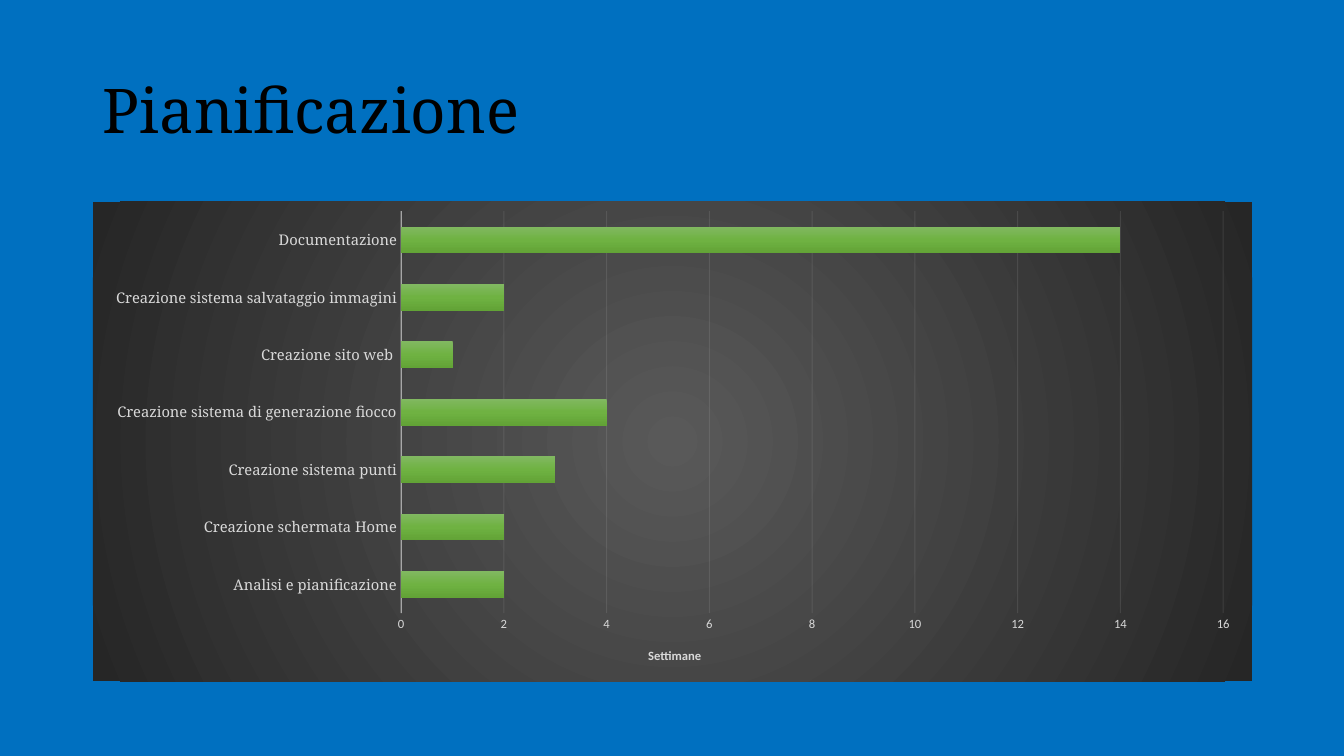
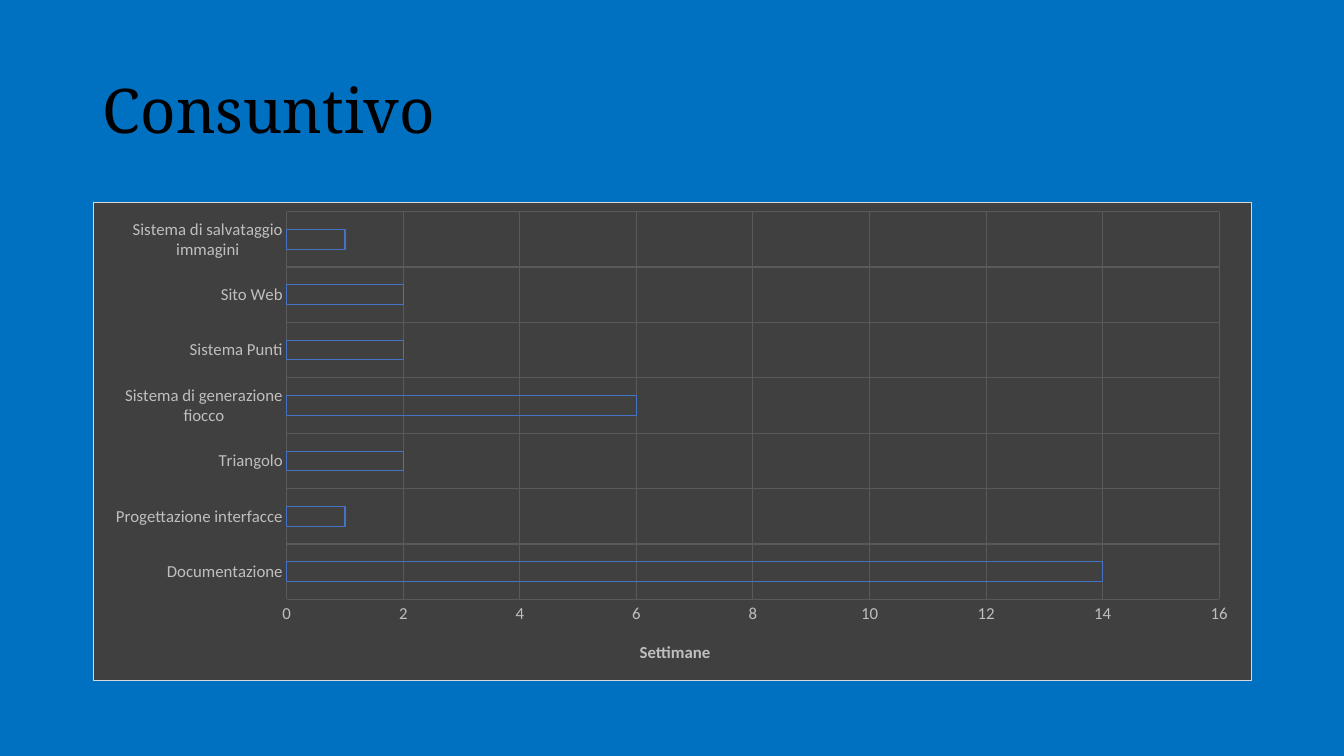
from dataclasses import dataclass
from typing import Optional

from pptx import Presentation
from pptx.chart.data import CategoryChartData
from pptx.dml.color import RGBColor
from pptx.enum.chart import XL_CHART_TYPE, XL_TICK_MARK
from pptx.enum.text import MSO_ANCHOR
from pptx.oxml import parse_xml
from pptx.oxml.ns import nsdecls
from pptx.util import Inches, Pt

BAR = XL_CHART_TYPE.BAR_CLUSTERED
NO_TICK = XL_TICK_MARK.NONE
MIDDLE = MSO_ANCHOR.MIDDLE


class Theme:
    background = "0070C0"
    title_color = "000000"
    title_font = "Noto Serif"
    chart_font = "Calibri"
    title_size = 44
    chart_size = 10
    thin = 0.75
    left, width = Inches(0.92), Inches(11.5)
    title_top, title_height = Inches(0.4), Inches(1.45)
    chart_top, chart_height = Inches(2), Inches(4.76)


@dataclass
class ChartStyle:
    text: str
    category_font: str
    category_size: float
    value_size: float
    gap: int
    overlap: int
    grid: str
    panel_fill: str
    plot_box: tuple
    title_spot: tuple
    grid_alpha: int = 100
    category_grid: bool = False
    category_line: Optional[str] = None
    category_line_alpha: int = 100
    panel_line: Optional[str] = None
    bar_fill: Optional[str] = None
    bar_line: Optional[str] = None


def solid(color):
    return f'<a:solidFill {nsdecls("a")}><a:srgbClr val="{color}"/></a:solidFill>'


def gradient(stops, direction):
    marks = "".join(
        f'<a:gs pos="{pos * 1000}"><a:srgbClr val="{color}"/></a:gs>'
        for pos, color in stops)
    return (f'<a:gradFill {nsdecls("a")} rotWithShape="1"><a:gsLst>{marks}</a:gsLst>'
            f'{direction}</a:gradFill>')


RADIAL = ('<a:path path="circle"><a:fillToRect l="50000" t="50000" '
          'r="50000" b="50000"/></a:path>')
DOWNWARD = '<a:lin ang="5400000" scaled="0"/>'

PLAN = ChartStyle(
    text="D9D9D9", category_font="Noto Serif", category_size=10.5, value_size=9,
    gap=115, overlap=-20, grid="F2F2F2", grid_alpha=10,
    category_line="F2F2F2", category_line_alpha=54,
    panel_fill=gradient([(0, "595959"), (100, "262626")], RADIAL),
    bar_fill=gradient([(0, "81B861"), (50, "6FB242"), (100, "62A336")], DOWNWARD),
    plot_box=(0.266, 0.02, 0.709, 0.838), title_spot=(0.477, 0.925))

ACTUAL = ChartStyle(
    text="BFBFBF", category_font="Calibri", category_size=12, value_size=12,
    gap=182, overlap=-50, grid="595959", category_grid=True,
    panel_fill=solid("404040"), panel_line="D9D9D9", bar_line="4472C4",
    plot_box=(0.167, 0.02, 0.805, 0.81), title_spot=(0.469, 0.91))

SLIDES = [
    ("Pianificazione", PLAN, {
        "Analisi e pianificazione": 2,
        "Creazione schermata Home": 2,
        "Creazione sistema punti": 3,
        "Creazione sistema di generazione fiocco": 4,
        "Creazione sito web ": 1,
        "Creazione sistema salvataggio immagini": 2,
        "Documentazione": 14,
    }),
    ("Consuntivo", ACTUAL, {
        "Documentazione": 14,
        "Progettazione interfacce": 1,
        "Triangolo": 2,
        "Sistema di generazione fiocco": 6,
        "Sistema Punti": 2,
        "Sito Web": 2,
        "Sistema di salvataggio immagini": 1,
    }),
]


def set_font(font, name, size, color, bold=False):
    font.name = name
    font.size = Pt(size)
    font.bold = bold
    font.color.rgb = RGBColor.from_string(color)


def set_line(line, color, width=Theme.thin):
    if color is None:
        line.fill.background()
        return
    line.color.rgb = RGBColor.from_string(color)
    line.width = Pt(width)


def fade(element, query, alpha):
    for color in element.xpath(query):
        color.append(parse_xml(f'<a:alpha {nsdecls("a")} val="{alpha * 1000}"/>'))


def manual_layout(box, inner=False):
    target = '<c:layoutTarget val="inner"/>' if inner else ""
    modes = '<c:xMode val="edge"/><c:yMode val="edge"/>'
    values = "".join(f'<c:{key} val="{value}"/>' for key, value in zip("xywh", box))
    return parse_xml(f'<c:layout {nsdecls("c")}><c:manualLayout>'
                     f'{target}{modes}{values}</c:manualLayout></c:layout>')


def place_parts(chart, style):
    space = chart._chartSpace
    for old in space.xpath("c:chart/c:plotArea/c:layout | .//c:title/c:layout"):
        old.getparent().remove(old)
    space.xpath("c:chart/c:plotArea")[0].insert(
        0, manual_layout(style.plot_box, inner=True))
    space.xpath(".//c:valAx/c:title/c:tx")[0].addnext(manual_layout(style.title_spot))


def style_panel(chart, style):
    border = solid(style.panel_line) if style.panel_line else "<a:noFill/>"
    panel = parse_xml(f'<c:spPr {nsdecls("c", "a")}>{style.panel_fill}'
                      f'<a:ln w="{Pt(Theme.thin)}">{border}</a:ln></c:spPr>')
    chart._chartSpace.xpath("c:chart")[0].addnext(panel)


def style_axis(axis, font, size, style, grid):
    axis.major_tick_mark = axis.minor_tick_mark = NO_TICK
    set_font(axis.tick_labels.font, font, size, style.text)
    axis.has_major_gridlines = grid
    if grid:
        set_line(axis.major_gridlines.format.line, style.grid)
        fade(axis._element, "c:majorGridlines//a:srgbClr", style.grid_alpha)


def style_axes(chart, style):
    category, value = chart.category_axis, chart.value_axis
    style_axis(category, style.category_font, style.category_size, style,
               style.category_grid)
    set_line(category.format.line, style.category_line, 1)
    fade(category._element, "c:spPr//a:srgbClr", style.category_line_alpha)

    style_axis(value, Theme.chart_font, style.value_size, style, True)
    set_line(value.format.line, None)
    value.minimum_scale, value.maximum_scale, value.major_unit = 0, 16, 2
    tf = value.axis_title.text_frame
    tf.text = "Settimane"
    set_font(tf.paragraphs[0].runs[0].font, Theme.chart_font, style.value_size,
             style.text, bold=True)


def style_bars(chart, style):
    plot = chart.plots[0]
    plot.gap_width = style.gap
    plot.overlap = style.overlap
    plot.vary_by_categories = False
    series = plot.series[0]
    series.invert_if_negative = False
    set_line(series.format.line, style.bar_line)
    if style.bar_fill:
        series._element.get_or_add_spPr().insert(0, parse_xml(style.bar_fill))
    else:
        series.format.fill.background()


def add_title(s, text):
    tf = s.shapes.add_textbox(Theme.left, Theme.title_top, Theme.width,
                              Theme.title_height).text_frame
    tf.word_wrap = True
    tf.vertical_anchor = MIDDLE
    tf.text = text
    p = tf.paragraphs[0]
    p.line_spacing = 0.9
    set_font(p.runs[0].font, Theme.title_font, Theme.title_size, Theme.title_color)


def add_weeks_chart(s, weeks, style):
    data = CategoryChartData()
    data.categories = list(weeks)
    data.add_series("Series 1", list(weeks.values()))
    chart = s.shapes.add_chart(BAR, Theme.left, Theme.chart_top, Theme.width,
                               Theme.chart_height, data).chart
    chart.has_legend = False
    chart.has_title = False
    set_font(chart.font, Theme.chart_font, Theme.chart_size, Theme.title_color)
    style_panel(chart, style)
    style_axes(chart, style)
    style_bars(chart, style)
    place_parts(chart, style)


def add_slide(prs, title, style, weeks):
    s = prs.slides.add_slide(prs.slide_layouts[6])
    fill = s.background.fill
    fill.solid()
    fill.fore_color.rgb = RGBColor.from_string(Theme.background)
    add_title(s, title)
    add_weeks_chart(s, weeks, style)


def main():
    prs = Presentation()
    prs.slide_width, prs.slide_height = Inches(13.33), Inches(7.5)
    for title, style, weeks in SLIDES:
        add_slide(prs, title, style, weeks)
    prs.save("out.pptx")


main()
